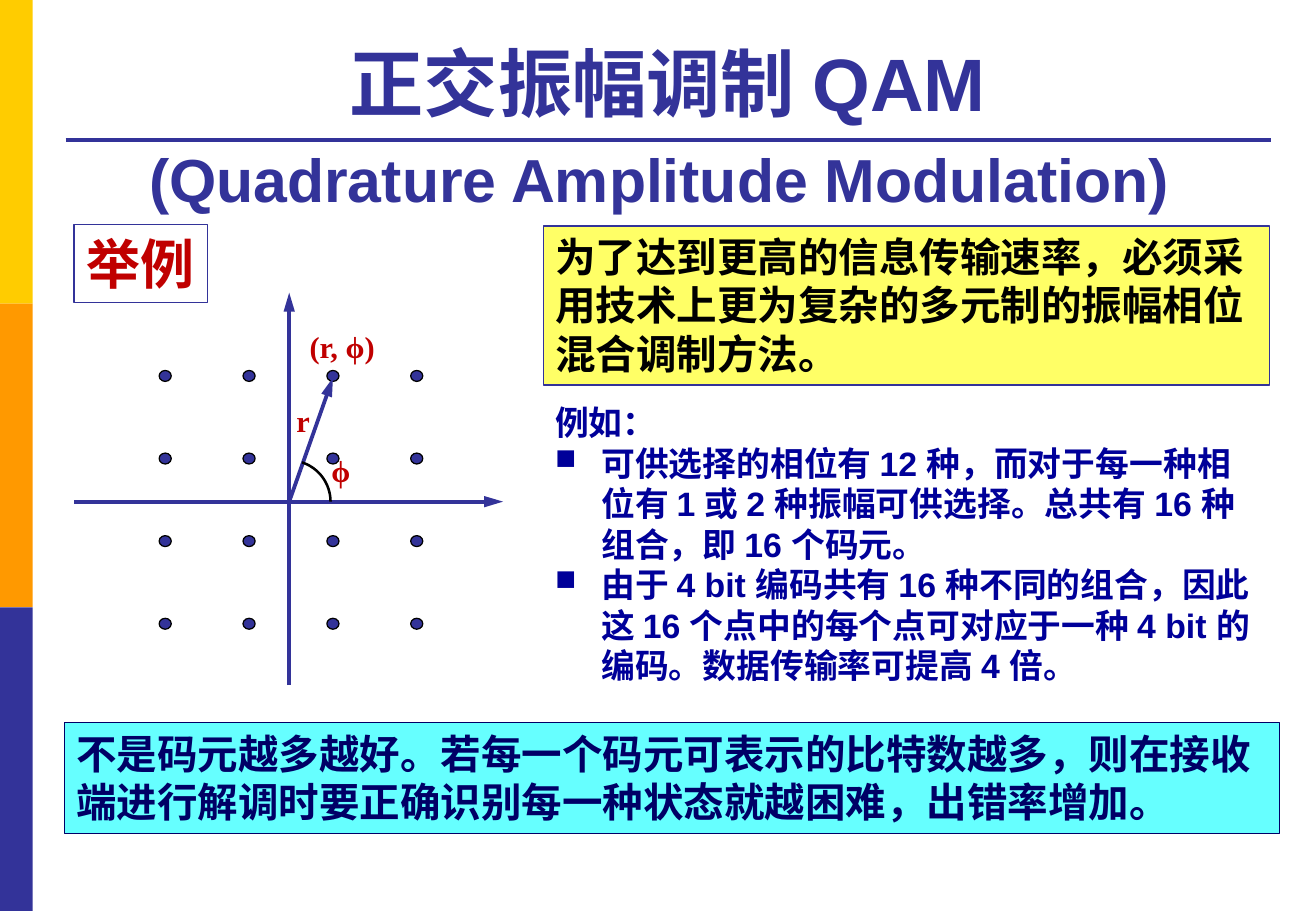
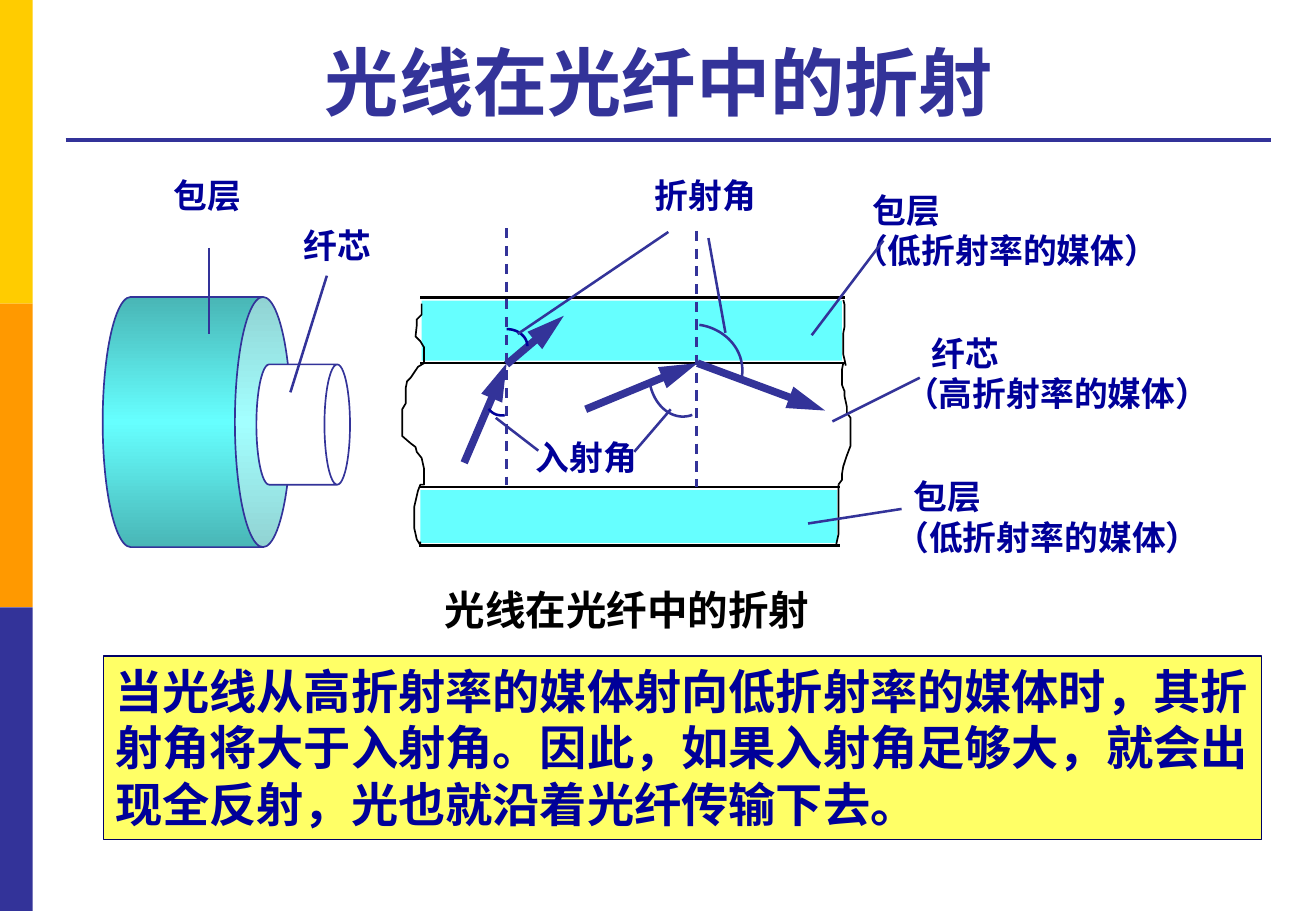
import math

import lxml.etree
import pptx
import pptx.dml.color
import pptx.enum.dml
import pptx.enum.shapes
import pptx.enum.text
import pptx.oxml.ns
import pptx.util

SHAPE = pptx.enum.shapes.MSO_SHAPE
ANCHOR = pptx.enum.text.MSO_ANCHOR
ALIGN = pptx.enum.text.PP_ALIGN

# Grid: every column and row is a tenth of an inch
COLUMNS, ROWS = 108.3, 75
COLORS = {
    "yellow": "FFCC00", "orange": "FF9900", "indigo": "333399",
    "navy": "000099", "midnight": "000066", "red": "C00000",
    "lemon": "FFFF66", "aqua": "66FFFF", "teal": "49B6B6",
    "black": "000000", "white": "FFFFFF",
}


def cells(count):
    return pptx.util.Inches(count / 10)


def rgb(name):
    return pptx.dml.color.RGBColor.from_string(COLORS[name])


def child(parent, tag, **attributes):
    return lxml.etree.SubElement(parent, pptx.oxml.ns.qn(tag), **attributes)


# Outlines, fills and shapes
def paint_line(line, color, width):
    if color is None:
        line.fill.background()
        return
    line.color.rgb = rgb(color)
    line.width = pptx.util.Pt(width)


def paint_fill(fill, color):
    if color is None:
        fill.background()
        return
    fill.solid()
    fill.fore_color.rgb = rgb(color)


def add_block(slide, kind, box, fill=None, edge=None, width=0.75):
    block = slide.shapes.add_shape(kind, *map(cells, box))
    block.shadow.inherit = False
    paint_fill(block.fill, fill)
    paint_line(block.line, edge, width)
    return block


def add_line(slide, start, end, color="indigo", width=1.5, arrow=False, dashed=False):
    line = slide.shapes.add_connector(
        pptx.enum.shapes.MSO_CONNECTOR.STRAIGHT, *map(cells, (*start, *end)))
    paint_line(line.line, color, width)
    if dashed:
        line.line.dash_style = pptx.enum.dml.MSO_LINE.DASH
    if arrow:
        child(line.line._get_or_add_ln(), "a:tailEnd", type="triangle", w="med", len="lg")
    child(line._element.spPr, "a:effectLst")


def add_outline(slide, points, color="black", width=1):
    points = [(cells(column), cells(row)) for column, row in points]
    builder = slide.shapes.build_freeform(*points[0])
    builder.add_line_segments(points[1:], close=False)
    outline = builder.convert_to_shape()
    outline.shadow.inherit = False
    paint_fill(outline.fill, None)
    paint_line(outline.line, color, width)


def add_angle(slide, center, radii, start, end, color="indigo"):
    """Draw an elliptical angle mark; degrees run counter-clockwise."""
    steps = 24
    turns = [math.radians(start + (end - start) * step / steps) for step in range(steps + 1)]
    add_outline(slide, [(center[0] + radii[0] * math.cos(turn),
                         center[1] - radii[1] * math.sin(turn)) for turn in turns], color, 1.5)


def add_cylinder(slide, box, depth, fill):
    cylinder = add_block(slide, SHAPE.CAN, box, fill, "indigo", 1)
    cylinder.rotation = 90
    cylinder.adjustments[0] = depth
    return cylinder


# Text
def write(box, paragraphs, size, color, font="Arial", align=ALIGN.LEFT, anchor=ANCHOR.TOP):
    frame = box.text_frame
    frame.word_wrap = True
    frame.vertical_anchor = anchor
    frame.text = "\n".join(paragraphs)
    for para in frame.paragraphs:
        para.alignment = align
        para.line_spacing = pptx.util.Pt(size * 1.2)
        for span in para.runs:
            span.font.name = font
            span.font.size = pptx.util.Pt(size)
            span.font.bold = True
            span.font.color.rgb = rgb(color)
    return frame.paragraphs


def add_text(slide, box, paragraphs, size=20, color="navy", **style):
    holder = slide.shapes.add_textbox(*map(cells, box))
    return write(holder, paragraphs, size, color, **style)


def add_panel(slide, box, words, size, color, fill=None, edge="indigo"):
    write(add_block(slide, SHAPE.RECTANGLE, box, fill, edge), [words], size, color)


def indent(para, left, first=0):
    settings = para._p.get_or_add_pPr()
    settings.set("marL", str(cells(left)))
    settings.set("indent", str(cells(first)))
    return settings


def add_bullet(para):
    settings = indent(para, 3.8, -3.8)
    child(settings, "a:buSzPct", val="85000")
    child(settings, "a:buChar", char="■")


# Shared frame: side bands, rule and title
def add_slide(deck, title, title_rows):
    slide = deck.slides.add_slide(deck.slide_layouts[6])
    band = ROWS / 3
    for index, color in enumerate(("yellow", "orange", "indigo")):
        add_block(slide, SHAPE.RECTANGLE, (0, index * band, 2.7, band), color)
    add_line(slide, (5.4, 11.5), (104.6, 11.5), width=2.25)
    heading = add_text(slide, (5.4, 2.1, 99.1, title_rows), [title], 44, "indigo",
                       align=ALIGN.CENTER, anchor=ANCHOR.BOTTOM)[0]
    for span in heading.runs[1:]:
        span.font.size = pptx.util.Pt(36)
    return slide


def draw_constellation(slide):
    origin = (23.8, 41.3)
    add_line(slide, (23.8, 56.4), (23.8, 24.1), width=2.25, arrow=True)
    for index in range(16):
        row, column = divmod(index, 4)
        add_block(slide, SHAPE.OVAL, (13.1 + 6.9 * column, 30.5 + 6.8 * row, 1, 0.9),
                  "indigo", "black")
    add_line(slide, (6.1, 41.3), (41.4, 41.3), width=2.25, arrow=True)
    add_line(slide, origin, (27.4, 31.1), width=2.25, arrow=True)
    add_angle(slide, origin, (3.4, 3.4), 72, 0, "black")
    for words, column, row, width in (("r", 23.4, 32.6, 4), ("ϕ", 26.3, 36.7, 4),
                                      ("(r, ϕ)", 24.5, 26.5, 9)):
        add_text(slide, (column, row, width, 4), [words], 18, "red", font="Times New Roman")


def build_modulation(deck):
    slide = add_slide(deck, "正交振幅调制 QAM\v(Quadrature Amplitude Modulation) ", 16.1)
    draw_constellation(slide)
    add_panel(slide, (5.3, 59.5, 100, 9.1),
              "不是码元越多越好。若每一个码元可表示的比特数越多，则在接收端进行解调时要正确识别"
              "每一种状态就越困难，出错率增加。", 24, "midnight", "aqua", "midnight")
    add_panel(slide, (6.1, 18.5, 11, 6.4), "举例", 32, "red")
    add_panel(slide, (44.7, 18.6, 59.8, 13.1),
              "为了达到更高的信息传输速率，必须采用技术上更为复杂的多元制的振幅相位混合调制方法。",
              24, "black", "lemon")
    notes = add_text(slide, (44.7, 32.6, 59.8, 24.6), [
        "例如：",
        "可供选择的相位有 12 种，而对于每一种相位有 1 或 2 种振幅可供选择。"
        "总共有 16 种组合，即 16 个码元。",
        "由于 4 bit 编码共有 16 种不同的组合，因此这 16 个点中的每个点可对应于一种 4 bit "
        "的编码。数据传输率可提高 4 倍。"])
    for para in notes[1:]:
        add_bullet(para)


def draw_fiber_section(slide):
    # Cladding layers and their boundaries
    for left, right, top, bottom in ((34.6, 69.5, 24.5, 29.9), (34.5, 69.1, 40.1, 44.9)):
        add_block(slide, SHAPE.RECTANGLE,
                  (left + 0.1, top + 0.25, right - left - 0.3, bottom - top - 0.45), "aqua")
        for row in (top, bottom):
            add_line(slide, (left, row), (right, row), "black")
    # Torn ends
    add_outline(slide, [
        (34.7, 25), (34.7, 25.9), (34.3, 26.3), (34.3, 26.8), (34.2, 27.7), (34.6, 28.1),
        (34.9, 28.6), (34.9, 29.9), (34.4, 30.2), (33.8, 31.1), (33.5, 31.4), (33.4, 31.9),
        (33.4, 33.2), (33.1, 33.7), (33.1, 35.9), (33.8, 36.5), (34.2, 36.8), (34.3, 37.2),
        (34.7, 37.7), (34.9, 38.6), (34.9, 39.9), (34.6, 39.9), (34.4, 40.4), (34.1, 41.7),
        (34.1, 43.5), (34.3, 44.4), (34.6, 44.9), (34.6, 44.6)])
    add_outline(slide, [(69.4, 24.7), (69.5, 25.1), (69.5, 26.9), (69.4, 27.4), (69.4, 29.2),
                        (69.5, 29.6), (69.6, 30.1)])
    add_outline(slide, [
        (69.4, 29.9), (69.3, 30.4), (69.3, 31.7), (69.5, 32.2), (69.5, 32.6), (69.7, 33.5),
        (69.7, 34), (70, 34.4), (70, 36.7), (69.7, 37.5), (69.4, 38.4), (69.3, 39),
        (69.3, 39.5), (69, 39.9)])
    add_outline(slide, [(69, 39.9), (69, 44), (68.8, 44.9)])


def draw_rays(slide):
    for column, top, bottom in ((41.7, 18.8, 39.9), (57.3, 19, 40.1)):
        add_line(slide, (column, top), (column, bottom), dashed=True)
    for start, end in (((41.7, 30), (46.4, 26)), ((38.2, 38.1), (41.7, 29.9)),
                       ((48.2, 33.7), (57.4, 29.9)), ((57.4, 29.9), (67.9, 33.8))):
        add_line(slide, start, end, width=4.5, arrow=True)
    add_angle(slide, (41.3, 33.3), (1.15, 0.9), -78, -158, "navy")
    add_angle(slide, (41.7, 28.5), (1.7, 1.4), 90, 0, "navy")
    add_angle(slide, (56.2, 30.7), (2.8, 3.6), -74, -164)
    add_angle(slide, (56.9, 30.5), (4.2, 3.8), 81, -9)


def draw_cable(slide):
    cladding = add_cylinder(slide, (5.9, 27, 20.6, 15.5), 0.298, "aqua")
    cladding.fill.gradient()
    cladding.fill.gradient_angle = 0
    for stop in cladding.fill.gradient_stops:
        stop.color.rgb = rgb("teal")
    stops = cladding._element.spPr.find(".//" + pptx.oxml.ns.qn("a:gsLst"))
    middle = child(stops, "a:gs", pos="50000")
    child(middle, "a:srgbClr", val=COLORS["aqua"])
    stops.insert(1, middle)
    add_cylinder(slide, (20, 31.1, 9.9, 7.7), 0.273, "white")


def label_fiber(slide):
    for words, column, row, width in (("折射角", 52.9, 13.9, 13), ("入射角", 43.1, 35.5, 13),
                                      ("包层", 13.3, 13.9, 9), ("纤芯", 24, 18, 9)):
        add_text(slide, (column, row, width, 4.4), [words])
    low, high = "（低折射率的媒体）", "（高折射率的媒体）"
    for name, medium, column, row, inset in (("包层", low, 69.3, 15.1, 1.5),
                                             ("纤芯", high, 73.5, 26.9, 2.2),
                                             ("包层", low, 72.7, 38.7, 1.5)):
        indent(add_text(slide, (column, row, 30.2, 7.7), [name, medium])[0], inset)
    # Leader lines
    for start, end in (((58.3, 19.6), (59.7, 27.4)), ((42.6, 27.5), (55, 19.1)),
                       ((40.8, 34.4), (44.3, 37.1)), ((52.2, 37.2), (55.2, 33.7)),
                       ((68.5, 34.7), (75.7, 31.1)), ((72.7, 19.8), (66.8, 27.6)),
                       ((74.2, 41.9), (66.5, 43.1)), ((17.2, 20.4), (17.2, 27.5)),
                       ((26.9, 22.7), (23.9, 32.3))):
        add_line(slide, start, end)


def build_refraction(deck):
    slide = add_slide(deck, "光线在光纤中的折射 ", 8.7)
    draw_fiber_section(slide)
    draw_rays(slide)
    draw_cable(slide)
    label_fiber(slide)
    add_text(slide, (25, 47.7, 53.2, 5), ["光线在光纤中的折射"], 24, "black", align=ALIGN.CENTER)
    add_panel(slide, (8.5, 54, 95.3, 15.1),
              "当光线从高折射率的媒体射向低折射率的媒体时，其折射角将大于入射角。因此，"
              "如果入射角足够大，就会出现全反射，光也就沿着光纤传输下去。",
              28, "navy", "lemon", "midnight")


def main():
    deck = pptx.Presentation()
    deck.slide_width, deck.slide_height = cells(COLUMNS), cells(ROWS)
    build_modulation(deck)
    build_refraction(deck)
    deck.save("out.pptx")


if __name__ == "__main__":
    main()
